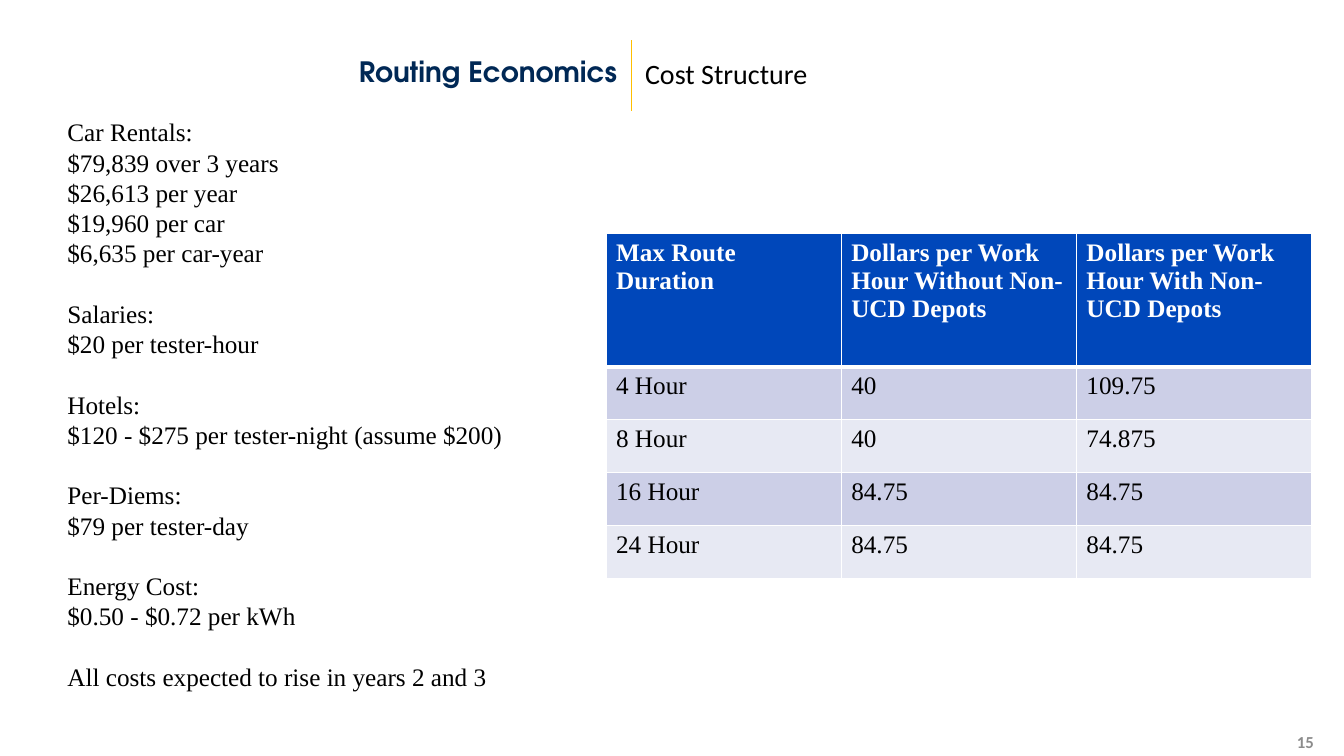
from lxml.etree import SubElement
from pptx import Presentation
from pptx.dml.color import RGBColor
from pptx.enum.shapes import MSO_CONNECTOR
from pptx.enum.text import MSO_ANCHOR, MSO_AUTO_SIZE, PP_ALIGN
from pptx.oxml.ns import qn
from pptx.util import Inches, Pt

COST_GROUPS = [
    ["Car Rentals:", "$79,839 over 3 years", "$26,613 per year",
     "$19,960 per car", "$6,635 per car-year"],
    ["Salaries:", "$20 per tester-hour"],
    ["Hotels:", "$120 - $275 per tester-night (assume $200)"],
    ["Per-Diems:", "$79 per tester-day"],
    ["Energy Cost:", "$0.50 - $0.72 per kWh"],
    ["All costs expected to rise in years 2 and 3"],
]
ROUTE_COSTS = [
    ["Max Route Duration", "Dollars per Work Hour Without Non-UCD Depots",
     "Dollars per Work Hour With Non-UCD Depots"],
    ["4 Hour", "40", "109.75"],
    ["8 Hour", "40", "74.875"],
    ["16 Hour", "84.75", "84.75"],
    ["24 Hour", "84.75", "84.75"],
]


def color(value):
    return RGBColor.from_string(value)


def set_values(target, values):
    for name, value in values.items():
        setattr(target, name, value)


class SlideBuilder:
    heading = {"name": "TeX Gyre Adventor", "size": Pt(20), "bold": True}
    subheading = {"name": "Calibri", "size": Pt(20), "bold": False}
    footer = {"name": "Calibri", "size": Pt(12), "bold": True}
    body = {"name": "Times New Roman", "size": Pt(18), "bold": False}
    body_bold = {**body, "bold": True}
    band_fills = ["E7E9F3", "CCCFE7"]

    def __init__(self, presentation):
        self.width = presentation.slide_width
        self.height = presentation.slide_height
        self.slide = presentation.slides.add_slide(presentation.slide_layouts[5])

    def across(self, percent):
        return round(self.width * percent / 100)

    def down(self, percent):
        return round(self.height * percent / 100)

    def box(self, left, top, width, height):
        return self.across(left), self.down(top), self.across(width), self.down(height)

    def add_text(self, paragraph, text, font, ink, **layout):
        run = paragraph.add_run()
        run.text = text
        set_values(run.font, font)
        run.font.color.rgb = color(ink)
        set_values(paragraph, layout)

    def title(self, area, text, ink, **layout):
        shape = self.slide.shapes.title
        set_values(shape, dict(zip(("left", "top", "width", "height"), self.box(*area))))
        set_values(shape.text_frame, {"word_wrap": True, "auto_size": MSO_AUTO_SIZE.NONE,
                                      "vertical_anchor": MSO_ANCHOR.MIDDLE,
                                      "margin_left": Inches(0.6)})
        self.add_text(shape.text_frame.paragraphs[0], text, self.heading, ink, **layout)

    def text_frame(self, area, anchor):
        frame = self.slide.shapes.add_textbox(*self.box(*area)).text_frame
        set_values(frame, {"word_wrap": True, "vertical_anchor": anchor})
        return frame

    def label(self, area, text, font, ink, **layout):
        frame = self.text_frame(area, MSO_ANCHOR.MIDDLE)
        self.add_text(frame.paragraphs[0], text, font, ink, **layout)

    def groups(self, area, groups, ink):
        frame = self.text_frame(area, MSO_ANCHOR.TOP)
        pitch = Pt(21.6)
        for group_index, lines in enumerate(groups):
            for line_index, line in enumerate(lines):
                first = group_index == line_index == 0
                paragraph = frame.paragraphs[0] if first else frame.add_paragraph()
                gap = pitch if group_index and not line_index else Pt(0)
                self.add_text(paragraph, line, self.body, ink,
                              line_spacing=pitch, space_before=gap)

    def divider(self, column, top, bottom, ink):
        line = self.slide.shapes.add_connector(
            MSO_CONNECTOR.STRAIGHT, self.across(column), self.down(top),
            self.across(column), self.down(bottom))
        line.line.width = Pt(0.75)
        line.line.color.rgb = color(ink)
        SubElement(line._element.spPr, qn("a:effectLst"))

    def borders(self, cell, widths):
        properties = cell._tc.get_or_add_tcPr()
        for side, width in widths.items():
            edge = SubElement(properties, qn(f"a:ln{side}"), w=str(Pt(width)))
            fill = SubElement(edge, qn("a:solidFill"))
            SubElement(fill, qn("a:srgbClr"), val="FFFFFF")

    def table(self, area, rows, header_height, row_height):
        table = self.slide.shapes.add_table(
            len(rows), len(rows[0]), *self.box(*area)).table
        for column in table.columns:
            column.width = self.across(area[2] / len(rows[0]))
        for row_index, values in enumerate(rows):
            header = row_index == 0
            table.rows[row_index].height = self.down(header_height if header else row_height)
            for column_index, value in enumerate(values):
                cell = table.cell(row_index, column_index)
                self.borders(cell, {"L": 1, "R": 1, "T": 3 if row_index == 1 else 1,
                                    "B": 3 if header else 1})
                cell.fill.solid()
                cell.fill.fore_color.rgb = color(
                    "0047BA" if header else self.band_fills[row_index % 2])
                self.add_text(cell.text_frame.paragraphs[0], value,
                              self.body_bold if header else self.body,
                              "FFFFFF" if header else "000000", line_spacing=Pt(20))


def main():
    presentation = Presentation()
    set_values(presentation, {"slide_width": Inches(13.33), "slide_height": Inches(7.5)})
    builder = SlideBuilder(presentation)
    builder.divider(46.96, 5.33, 14.67, "FFBF00")
    builder.title((2.03, 4.67, 44.64, 10), "Routing Economics", "002855",
                  alignment=PP_ALIGN.RIGHT, line_spacing=0.9, space_before=Pt(10))
    builder.label((47.26, 4.67, 50.41, 10), "Cost Structure", builder.subheading, "000000")
    builder.label((76, 96.27, 22.5, 3.73), "15", builder.footer, "8C8C8C",
                  alignment=PP_ALIGN.RIGHT)
    builder.groups((4.28, 14.8, 40.06, 78.13), COST_GROUPS, "000000")
    builder.table((45.09, 30.93, 52.5, 45.6), ROUTE_COSTS, 17.6, 7)
    presentation.save("out.pptx")


if __name__ == "__main__":
    main()
